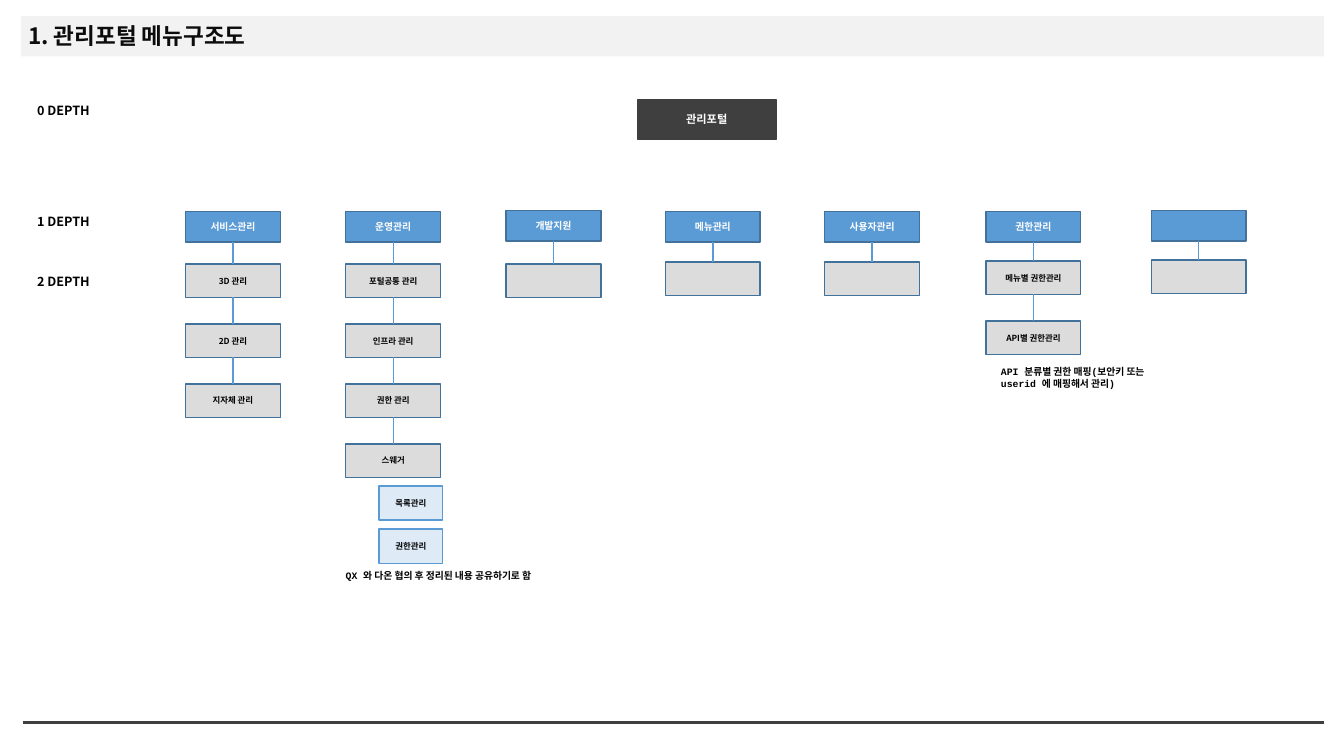
from lxml.etree import SubElement
from pptx import Presentation
from pptx.dml.color import RGBColor
from pptx.enum.shapes import MSO_CONNECTOR as CONNECTOR, MSO_SHAPE as SHAPE
from pptx.enum.text import MSO_ANCHOR as ANCHOR, PP_ALIGN as ALIGN
from pptx.oxml.ns import qn
from pptx.util import Inches, Pt

BLACK = RGBColor(0x00, 0x00, 0x00)
WHITE = RGBColor(0xFF, 0xFF, 0xFF)
INK = RGBColor(0x0C, 0x0C, 0x0C)
DARK = RGBColor(0x3F, 0x3F, 0x3F)
BAND = RGBColor(0xF2, 0xF2, 0xF2)
BLUE = RGBColor(0x5B, 0x9B, 0xD5)
NAVY = RGBColor(0x42, 0x71, 0x9B)
GREY = RGBColor(0xDC, 0xDC, 0xDC)
PALE = RGBColor(0xDE, 0xEB, 0xF7)

SANS = "Noto Sans CJK KR"
MONO = "Courier New"

ROOT = {"fill": DARK, "line": DARK, "color": WHITE, "size": 8}
HEAD = {"fill": BLUE, "line": NAVY, "color": WHITE, "size": 7}
MENU = {"fill": GREY, "line": NAVY, "color": BLACK, "size": 6}
SUBMENU = {"fill": PALE, "line": BLUE, "color": BLACK, "size": 6}

BOX_WIDTH, HEAD_HEIGHT, MENU_HEIGHT, MENU_STEP = 0.94, 0.3, 0.33, 0.595
DEPTHS = [("0 DEPTH", 0.95), ("1 DEPTH", 2.05), ("2 DEPTH", 2.64)]
COLUMNS = [
    ("서비스관리", 1.84, 2.1, 2.62, ["3D 관리", "2D 관리", "지자체 관리"]),
    ("운영관리", 3.43, 2.1, 2.62, ["포털공통 관리", "인프라 관리", "권한 관리", "스웨거"]),
    ("개발지원", 5.02, 2.09, 2.62, [""]),
    ("메뉴관리", 6.6, 2.1, 2.6, [""]),
    ("사용자관리", 8.18, 2.1, 2.6, [""]),
    ("권한관리", 9.78, 2.1, 2.59, ["메뉴별 권한관리", "API별 권한관리"]),
    ("", 11.42, 2.09, 2.58, [""]),
]
SUBMENUS = [("목록관리", 4.82), ("권한관리", 5.25)]
NOTES = [
    ("QX 와 다온 협의 후 정리된 내용 공유하기로 함", (3.33, 5.6, 2.49, 0.22)),
    ("API 분류별 권한 매핑(보안키 또는 userid 에 매핑해서 관리)", (9.83, 3.58, 1.86, 0.34)),
]


def write(shape, text, size, color, font=SANS, inset=0.05, align=ALIGN.LEFT, anchor=ANCHOR.MIDDLE):
    """Write one bold paragraph into a shape and return the paragraph."""
    frame = shape.text_frame
    frame_format = {"word_wrap": True, "vertical_anchor": anchor}
    for side in ("left", "right", "top", "bottom"):
        frame_format[f"margin_{side}"] = Inches(inset)
    for name, value in frame_format.items():
        setattr(frame, name, value)
    paragraph = frame.paragraphs[0]
    paragraph.alignment = align
    run = paragraph.add_run()
    run.text = text
    for name, value in {"name": font, "size": Pt(size), "bold": True}.items():
        setattr(run.font, name, value)
    run.font.color.rgb = color
    SubElement(run._r.get_or_add_rPr(), qn("a:ea"), typeface=SANS)
    return paragraph


def add_box(slide, text, box, style):
    """Draw a filled rectangle with an outline and a centred label."""
    node = slide.shapes.add_shape(SHAPE.RECTANGLE, *map(Inches, box))
    node.shadow.inherit = False
    node.fill.solid()
    node.fill.fore_color.rgb = style["fill"]
    node.line.color.rgb = style["line"]
    node.line.width = Pt(1)
    if text:
        write(node, text, style["size"], style["color"], align=ALIGN.CENTER)
    return node


def add_line(slide, start, end, color, width):
    """Draw a straight line without a shadow."""
    line = slide.shapes.add_connector(CONNECTOR.STRAIGHT, *map(Inches, (*start, *end)))
    line.line.color.rgb = color
    line.line.width = Pt(width)
    SubElement(line._element.spPr, qn("a:effectLst"))
    return line


def add_label(slide, text, box, size, font=SANS, inset=0.1):
    """Place a top-aligned caption in the given box."""
    caption = slide.shapes.add_textbox(*map(Inches, box))
    write(caption, text, size, BLACK, font, inset, anchor=ANCHOR.TOP)
    if font == MONO:
        caption.text_frame.margin_top = caption.text_frame.margin_bottom = Inches(0.05)


def add_title(slide, text, box):
    """Put the title on its grey band, inset from the band's left edge."""
    left, top, width, height = box
    band = slide.shapes.add_shape(SHAPE.RECTANGLE, *map(Inches, box))
    band.shadow.inherit = False
    band.fill.solid()
    band.fill.fore_color.rgb = BAND
    band.line.fill.background()
    slide.shapes._spTree.insert(2, band._element)
    title = slide.shapes.title
    place = {"left": left + 0.02, "top": top + 0.02, "width": 9.49, "height": height - 0.02}
    for name, value in place.items():
        setattr(title, name, Inches(value))
    write(title, text, 16.1, INK).line_spacing = 0.9


def add_column(slide, label, left, top, menu_top, menus):
    """Draw a head box and the chain of menu boxes joined below it."""
    previous = add_box(slide, label, (left, top, BOX_WIDTH, HEAD_HEIGHT), HEAD)
    for row, menu in enumerate(menus):
        box = (left, menu_top + row * MENU_STEP, BOX_WIDTH, MENU_HEIGHT)
        node = add_box(slide, menu, box, MENU)
        link = add_line(slide, (left, top), (left, menu_top), BLUE, 1)
        link.begin_connect(previous, 2)
        link.end_connect(node, 0)
        previous = node


def main():
    """Build the menu structure slide and save it."""
    deck = Presentation()
    deck.slide_width, deck.slide_height = Inches(13.33), Inches(7.5)
    slide = deck.slides.add_slide(deck.slide_layouts[5])
    add_title(slide, "1. 관리포털 메뉴구조도", (0.21, 0.16, 12.92, 0.4))
    add_line(slide, (0.23, 7.17), (13.13, 7.17), DARK, 2.25)
    for depth, top in DEPTHS:
        add_label(slide, depth, (0.27, top, 1.23, 0.35), 9)
    add_box(slide, "관리포털", (6.32, 0.99, 1.38, 0.39), ROOT)
    for column in COLUMNS:
        add_column(slide, *column)
    for submenu, top in SUBMENUS:
        add_box(slide, submenu, (3.76, top, 0.63, 0.34), SUBMENU)
    for note, box in NOTES:
        add_label(slide, note, box, 7, MONO)
    deck.save("out.pptx")


if __name__ == "__main__":
    main()
